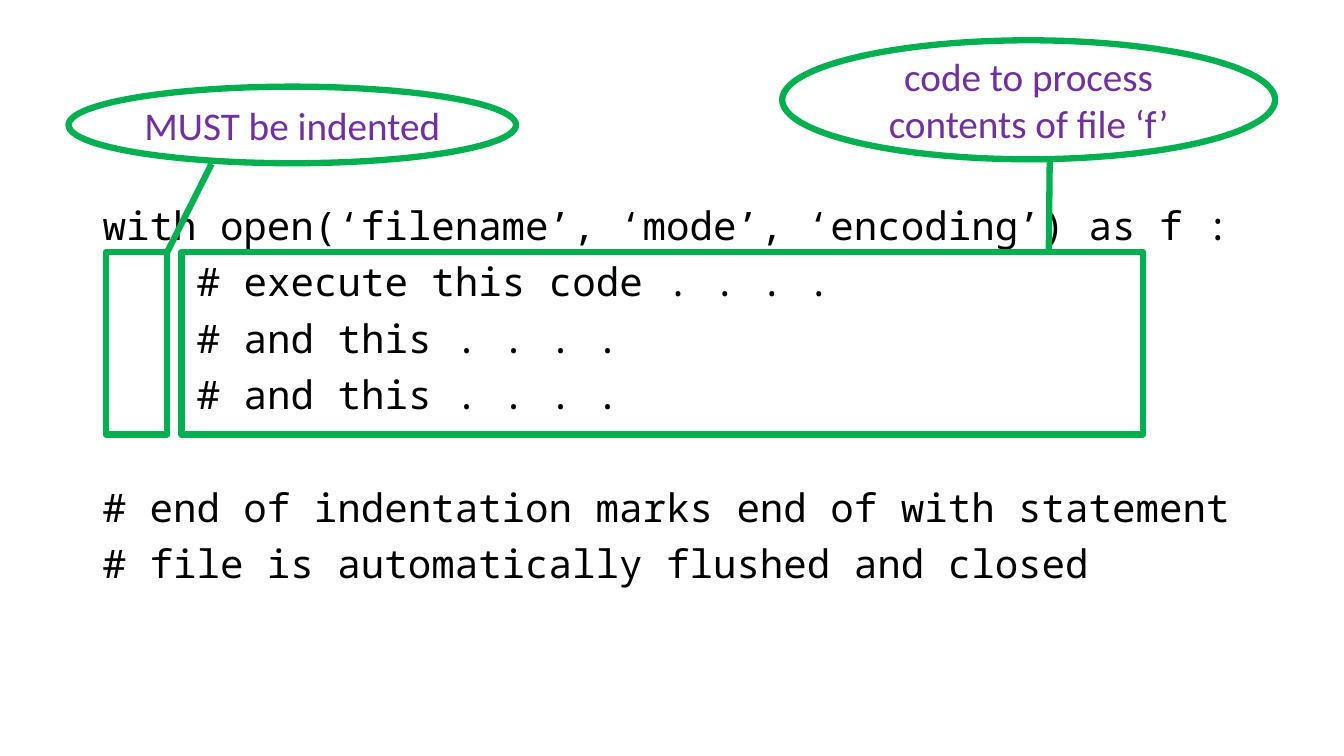
import pptx
import pptx.util
import pptx.dml.color
import pptx.enum.shapes
import pptx.enum.text

Pt = pptx.util.Pt
RGB = pptx.dml.color.RGBColor
KIND = pptx.enum.shapes.MSO_SHAPE
ALIGN = pptx.enum.text.PP_ALIGN
ANCHOR = pptx.enum.text.MSO_ANCHOR

GREEN = RGB(0x00, 0xB0, 0x50)
PURPLE = RGB(0x70, 0x30, 0xA0)
BLACK = RGB(0, 0, 0)
SIZE = 28
INDENT = 67.2   # four mono characters
GAP = 10
PITCH = 40.3    # one code line with its gap

# Content: text, indent level, blank lines before
CODE = [
    ("with open(‘filename’, ‘mode’, ‘encoding’) as f :", 0, 0),
    ("# execute this code . . . .", 1, 0),
    ("# and this . . . .", 1, 0),
    ("# and this . . . .", 1, 0),
    ("# end of indentation marks end of with statement", 0, 1),
    ("# file is automatically flushed and closed", 0, 0),
]
# Left, width, pointer as y and x of both ends
FRAMES = [
    (75.6, 43.92, (-0.482, 1.719, 0.003, 0.995)),
    (129.6, 686.88, (-0.509, 0.903, 0, 0.902)),
]
TOP, HIGH = 180, 130.32
# Text, left, top, width, height
NOTES = [
    ("MUST be indented", 48.96, 61.92, 319.68, 54.72),
    ("code to process contents of file ‘f’", 558.72, 28.8, 352.08, 84.96),
]

deck = pptx.Presentation()
deck.slide_width, deck.slide_height = Pt(960), Pt(540)
slide = deck.slides.add_slide(deck.slide_layouts[6])


def style(para, face, color):
    para.font.name = face
    para.font.size = Pt(SIZE)
    para.font.color.rgb = color


def outline(kind, *place):
    shape = slide.shapes.add_shape(kind, *map(Pt, place))
    shape.shadow.inherit = False
    shape.fill.background()
    shape.line.color.rgb = GREEN
    shape.line.width = Pt(4.5)
    return shape


# Code listing
frame = slide.shapes.add_textbox(Pt(66.24), Pt(144), Pt(828), Pt(342.72)).text_frame
frame.word_wrap = True
for i, (text, level, blank) in enumerate(CODE):
    para = frame.add_paragraph() if i else frame.paragraphs[0]
    para.text = text
    para.line_spacing = 0.9
    para.space_before = Pt(GAP + blank * PITCH)
    props = para._p.get_or_add_pPr()
    props.set("marL", str(Pt(level * INDENT)))
    props.set("indent", "0")
    style(para, "Noto Sans Mono", BLACK)

# Frames with pointers
for left, wide, ends in FRAMES:
    box = outline(KIND.LINE_CALLOUT_1, left, TOP, wide, HIGH)
    for i, end in enumerate(ends):
        box.adjustments[i] = end

# Oval notes
for text, *place in NOTES:
    frame = outline(KIND.OVAL, *place).text_frame
    frame.word_wrap = True
    frame.vertical_anchor = ANCHOR.MIDDLE
    para = frame.paragraphs[0]
    para.text = text
    para.alignment = ALIGN.CENTER
    style(para, "Calibri", PURPLE)

deck.save("out.pptx")
